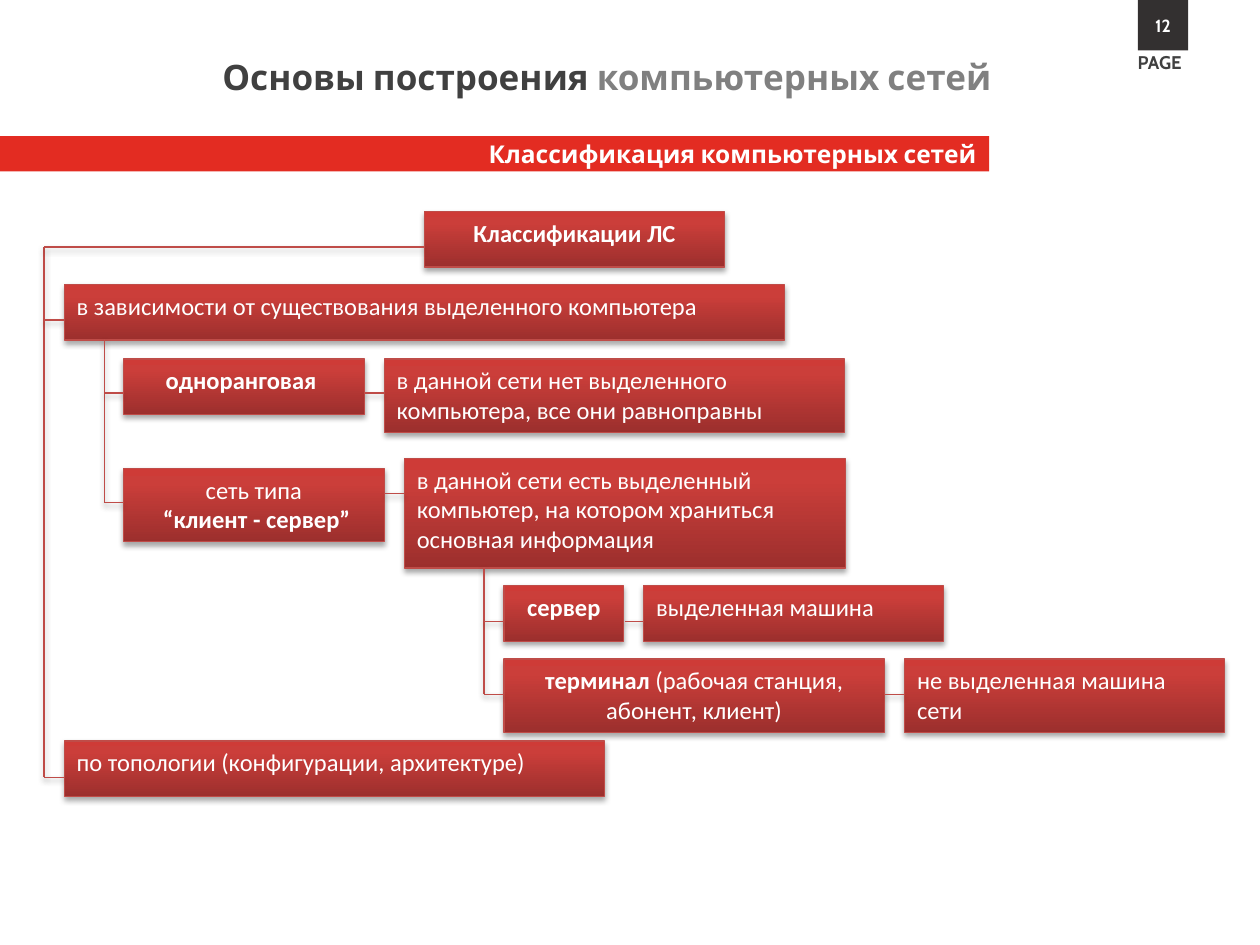
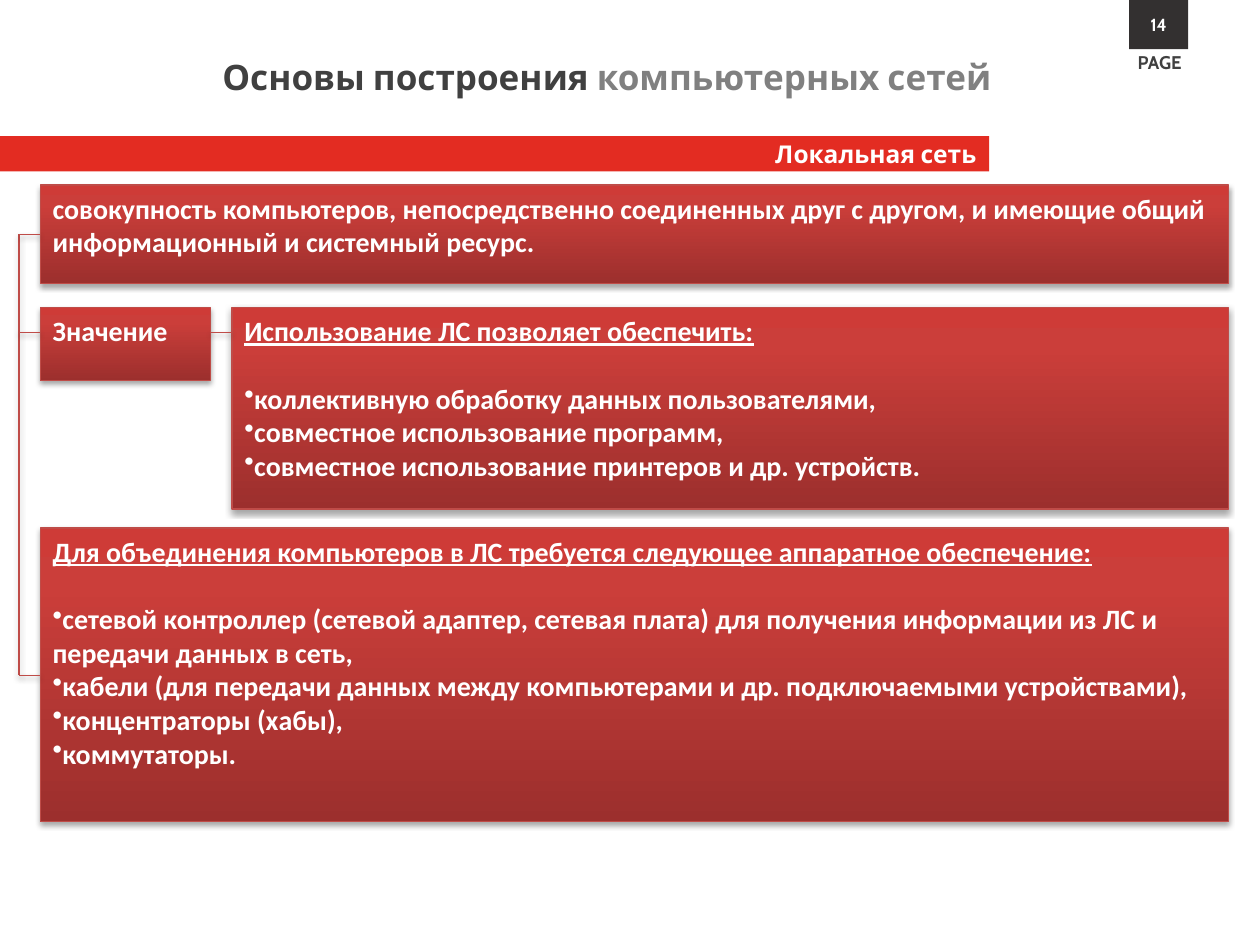
"""Build two slides on the classification and purpose of local networks."""
from copy import deepcopy
from dataclasses import dataclass
from typing import NamedTuple

from lxml.etree import SubElement
from pptx import Presentation
from pptx.dml.color import RGBColor
from pptx.enum.shapes import MSO_CONNECTOR, MSO_SHAPE
from pptx.enum.text import MSO_ANCHOR as Anchor, MSO_AUTO_SIZE as AutoSize, PP_ALIGN as Align
from pptx.oxml.ns import qn
from pptx.util import Pt

WHITE, DARK, GREY = "FFFFFF", "404040", "808080"
BAND, PAGE_FILL, EDGE = "E32C22", "333030", "BF4C48"
GRADIENT = ((0, "9C2F2D"), (0.8, "CB3E3A"), (1, "CE3B37"))
HEAD_FONT, BODY_FONT = "Cabin", "Calibri"
PAGE_RIGHT = 679
ONE_LINE, TWO_LINES = 31.7, 41.8
LIST_GAP = 19.5


class Para(NamedTuple):
    text: str
    bold: bool = False
    plain_tail: str = ""
    underline: bool = False
    bullet: bool = False
    before: float = 0


class Box(NamedTuple):
    x: float
    y: float
    w: float
    h: float
    paras: tuple[Para, ...]
    align: Align = Align.LEFT


class Link(NamedTuple):
    x1: float
    x2: float
    y: float


class Branch(NamedTuple):
    x: float
    top: float
    end: float
    ys: tuple[float, ...]


@dataclass
class Page:
    number: str
    number_w: float
    number_h: float
    heading: str
    size: float
    boxes: tuple[Box, ...]
    branches: tuple[Branch, ...]
    links: tuple[Link, ...]


def rgb(color: str) -> RGBColor:
    return RGBColor.from_string(color)


def add_text(p, text: str, *, size: float, color: str = WHITE, font: str = HEAD_FONT,
             bold: bool = True, underline: bool = False) -> None:
    r = p.add_run()
    r.text = text
    r.font.name, r.font.size = font, Pt(size)
    r.font.bold, r.font.underline = bold, underline
    r.font.color.rgb = rgb(color)


def place(sp, x: float, y: float, w: float, h: float) -> None:
    sp.left, sp.top, sp.width, sp.height = Pt(x), Pt(y), Pt(w), Pt(h)


def frame(sp, align: Align, anchor: Anchor = Anchor.TOP, wrap: bool = True):
    tf = sp.text_frame
    tf.word_wrap, tf.auto_size = wrap, AutoSize.NONE
    tf.vertical_anchor = anchor
    p = tf.paragraphs[0]
    p.alignment, p.space_before = align, Pt(0)
    return p


def paint(sp, color: str) -> None:
    sp.fill.solid()
    sp.fill.fore_color.rgb = rgb(color)
    sp.line.fill.background()


def outline(sp) -> None:
    sp.line.color.rgb = rgb(EDGE)
    sp.line.width = Pt(0.75)
    effects = SubElement(sp._element.spPr, qn("a:effectLst"))
    shadow = SubElement(effects, qn("a:outerShdw"), blurRad="40000", dist="23000",
                        dir="5400000", rotWithShape="0")
    black = SubElement(shadow, qn("a:srgbClr"), val="000000")
    SubElement(black, qn("a:alpha"), val="35000")


def draw_line(shapes, x1: float, y1: float, x2: float, y2: float) -> None:
    outline(shapes.add_connector(MSO_CONNECTOR.STRAIGHT, Pt(x1), Pt(y1), Pt(x2), Pt(y2)))


def draw_branch(shapes, branch: Branch) -> None:
    draw_line(shapes, branch.x, branch.top, branch.x, branch.ys[-1])
    for y in branch.ys:
        draw_line(shapes, branch.x, y, branch.end, y)


def draw_box(shapes, box: Box, size: float) -> None:
    sp = shapes.add_shape(MSO_SHAPE.RECTANGLE, Pt(box.x), Pt(box.y), Pt(box.w), Pt(box.h))
    sp.fill.gradient()
    sp.fill.gradient_angle = 90
    stops = sp._element.spPr.find(".//" + qn("a:gsLst"))
    stops.append(deepcopy(stops[-1]))
    for stop, (position, color) in zip(sp.fill.gradient_stops, GRADIENT):
        stop.position, stop.color.rgb = position, rgb(color)
    outline(sp)
    p = frame(sp, box.align)
    for i, para in enumerate(box.paras):
        if i:
            p = sp.text_frame.add_paragraph()
            p.alignment, p.space_before = box.align, Pt(para.before)
        if para.bullet:
            SubElement(p._p.get_or_add_pPr(), qn("a:buChar"), char="•")
        add_text(p, para.text, size=size, font=BODY_FONT, bold=para.bold,
                 underline=para.underline)
        if para.plain_tail:
            add_text(p, para.plain_tail, size=size, font=BODY_FONT, bold=False)


def draw_header(s, page: Page) -> None:
    title, band = s.placeholders[0], s.placeholders[1]
    place(title, 10.8, 28.1, 563, 31.7)
    p = frame(title, Align.RIGHT)
    add_text(p, "Основы построения ", size=20, color=DARK)
    add_text(p, "компьютерных сетей", size=20, color=GREY)

    place(band, 0, 77.8, 565.2, 20.2)
    paint(band, BAND)
    add_text(frame(band, Align.RIGHT, Anchor.MIDDLE), page.heading, size=14)

    label = s.shapes.add_textbox(Pt(643), Pt(25.9), Pt(42.5), Pt(20.2))
    add_text(frame(label, Align.LEFT, wrap=False), "PAGE", size=10.5, color=DARK)

    number = s.shapes.add_shape(MSO_SHAPE.RECTANGLE, Pt(PAGE_RIGHT - page.number_w), 0,
                                Pt(page.number_w), Pt(page.number_h))
    number.shadow.inherit = False
    paint(number, PAGE_FILL)
    add_text(frame(number, Align.CENTER, Anchor.MIDDLE), page.number, size=10)


def draw_page(prs, page: Page) -> None:
    s = prs.slides.add_slide(prs.slide_layouts[0])
    draw_header(s, page)
    shapes = s.shapes.add_group_shape().shapes
    for box in page.boxes:
        draw_box(shapes, box, page.size)
    for branch in page.branches:
        draw_branch(shapes, branch)
    for link in page.links:
        draw_line(shapes, link.x1, link.y, link.x2, link.y)


def listing(heading: str, *items: str) -> tuple[Para, ...]:
    bullets = (Para(item, bold=True, bullet=True, before=0 if i else LIST_GAP)
               for i, item in enumerate(items))
    return (Para(heading, bold=True, underline=True), *bullets)


CLASSIFICATION = Page(
    "12", 28.8, 28.8, "Классификация компьютерных сетей", 14,
    boxes=(
        Box(242.6, 121, 171.4, ONE_LINE, (Para("Классификации ЛС", True),), Align.CENTER),
        Box(36.7, 162.7, 411.8, ONE_LINE,
            (Para("в зависимости от существования выделенного компьютера"),)),
        Box(70.6, 205.2, 137.5, ONE_LINE, (Para("одноранговая ", True),), Align.CENTER),
        Box(219.6, 205.2, 262.8, TWO_LINES,
            (Para("в данной сети нет выделенного компьютера, все они равноправны"),)),
        Box(231.1, 262.1, 252, 62.6,
            (Para("в данной сети есть выделенный компьютер, на котором храниться "
                  "основная информация"),)),
        Box(70.6, 267.8, 149, TWO_LINES,
            (Para("сеть типа"), Para(" “клиент - сервер”", True)), Align.CENTER),
        Box(517, 376.6, 182.9, TWO_LINES, (Para("не выделенная машина сети"),)),
        Box(288, 334.8, 68.4, ONE_LINE, (Para("сервер", True),), Align.CENTER),
        Box(288, 376.6, 217.4, TWO_LINES,
            (Para("терминал", True, " (рабочая станция, абонент, клиент)"),), Align.CENTER),
        Box(367.9, 334.8, 171.4, ONE_LINE, (Para("выделенная машина"),)),
        Box(36.7, 423.4, 308.9, ONE_LINE,
            (Para("по топологии (конфигурации, архитектуре)"),)),
    ),
    branches=(
        Branch(25.2, 141.1, 36.7, (182.9, 444.2)),
        Branch(59.8, 193.7, 70.6, (224.6, 287.3)),
        Branch(276.5, 324, 288, (355, 396.7)),
    ),
    links=(
        Link(25.2, 242.6, 141.1),
        Link(208.1, 219.6, 224.6),
        Link(219.6, 231.1, 282.2),
        Link(357.1, 367.9, 355),
        Link(505.4, 517, 396.7),
    ),
)

LOCAL_NETWORK = Page(
    "14", 33.8, 28.1, "Локальная сеть", 16,
    boxes=(
        Box(23, 105.8, 679, 56.2,
            (Para("совокупность компьютеров, непосредственно соединенных друг с другом, "
                  "и имеющие общий информационный и системный ресурс.", True),)),
        Box(23, 175.7, 97.2, TWO_LINES, (Para("Значение", True),)),
        Box(132.5, 175.7, 569.5, 115.2, listing(
            "Использование ЛС позволяет обеспечить:",
            "коллективную обработку данных пользователями,",
            "совместное использование программ,",
            "совместное использование принтеров и др. устройств.")),
        Box(23, 301.7, 679, 167.8, listing(
            "Для объединения компьютеров в ЛС требуется следующее аппаратное обеспечение:",
            "сетевой контроллер (сетевой адаптер, сетевая плата) для получения "
            "информации из ЛС и передачи данных в сеть,",
            "кабели (для передачи данных между компьютерами и др. подключаемыми "
            "устройствами),",
            "концентраторы (хабы),",
            "коммутаторы.")),
    ),
    branches=(Branch(10.8, 133.9, 23, (133.9, 190.1, 385.9)),),
    links=(Link(120.2, 132.5, 190.1),),
)


def main() -> None:
    prs = Presentation()
    prs.slide_width, prs.slide_height = Pt(720), Pt(540)
    for page in (CLASSIFICATION, LOCAL_NETWORK):
        draw_page(prs, page)
    prs.save("out.pptx")


if __name__ == "__main__":
    main()
